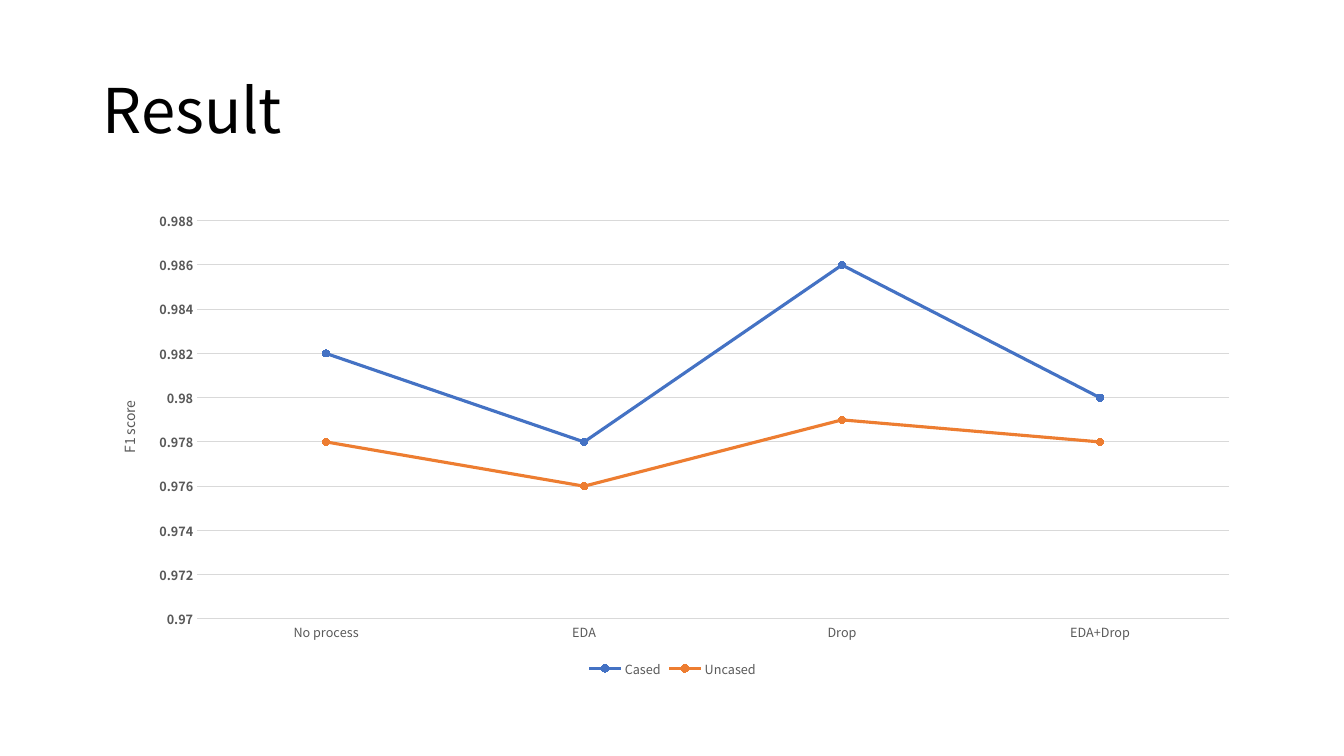
from lxml import etree
from pptx import Presentation
from pptx.chart.data import CategoryChartData
from pptx.dml.color import RGBColor
from pptx.enum.chart import (XL_CHART_TYPE, XL_LEGEND_POSITION,
                             XL_MARKER_STYLE, XL_TICK_MARK)
from pptx.enum.text import MSO_ANCHOR
from pptx.oxml.ns import qn
from pptx.util import Inches, Pt

# Content
TITLE = "Result"
AXIS_TITLE = "F1 score"
CATEGORIES = ["No process", "EDA", "Drop", "EDA+Drop"]
SCORES = {
    "Cased": [0.982, 0.978, 0.986, 0.98],
    "Uncased": [0.978, 0.976, 0.979, 0.978],
}
SCALE = (0.97, 0.988, 0.002)  # minimum, maximum, step

THEME = {
    "font": "Noto Sans CJK SC",
    "ink": "000000", "label": "595959", "grid": "D9D9D9",
    "series": ["4472C4", "ED7D31"],
    "title_size": 44, "axis_title_size": 10, "label_size": 9,
    "hairline": 0.75, "series_line": 2.25, "marker": 5,
}

# Slide and shared column
prs = Presentation()
prs.slide_width, prs.slide_height = Inches(13.33), Inches(7.5)
slide = prs.slides.add_slide(prs.slide_layouts[6])
LEFT, WIDTH = Inches(0.92), Inches(11.5)


def style_font(font, size, color, bold=False):
    font.name, font.size, font.bold = THEME["font"], Pt(size), bold
    font.color.rgb = RGBColor.from_string(color)


def style_line(line, color, width):
    line.color.rgb = RGBColor.from_string(color)
    line.width = Pt(width)


def place(element, **shares):
    """Fix a chart part at shares of the chart's size."""
    layout = element.find(qn("c:layout"))
    if layout is None:
        layout = etree.Element(qn("c:layout"))
        text = element.find(qn("c:tx"))
        element.insert(0 if text is None else element.index(text) + 1, layout)
    manual = etree.SubElement(layout, qn("c:manualLayout"))
    modes = {"xMode": "edge", "yMode": "edge"}
    if "w" in shares:
        modes = {"layoutTarget": "inner", **modes}
    for name, value in {**modes, **shares}.items():
        etree.SubElement(manual, qn("c:" + name)).set("val", str(value))


# Title
box = slide.shapes.add_textbox(LEFT, Inches(0.4), WIDTH, Inches(1.45))
frame = box.text_frame
frame.word_wrap, frame.vertical_anchor = True, MSO_ANCHOR.MIDDLE
frame.text = TITLE
frame.paragraphs[0].line_spacing = 0.9
style_font(frame.paragraphs[0].runs[0].font, THEME["title_size"], THEME["ink"])

# Line chart
data = CategoryChartData(number_format="General")
data.categories = CATEGORIES
for name, values in SCORES.items():
    data.add_series(name, values)
chart = slide.shapes.add_chart(XL_CHART_TYPE.LINE_MARKERS, LEFT, Inches(2),
                               WIDTH, Inches(4.76), data).chart
style_font(chart.font, THEME["axis_title_size"], THEME["ink"])
chart.has_title = False
chart.plots[0].vary_by_categories = False
place(chart.plots[0]._element.getparent(), x=0.09, y=0.04, w=0.89, h=0.83)

for series, color in zip(chart.plots[0].series, THEME["series"]):
    series.smooth = False
    style_line(series.format.line, color, THEME["series_line"])
    series.marker.style = XL_MARKER_STYLE.CIRCLE
    series.marker.size = THEME["marker"]
    series.marker.format.fill.solid()
    series.marker.format.fill.fore_color.rgb = RGBColor.from_string(color)
    style_line(series.marker.format.line, color, THEME["hairline"])

# Axes
categories, scores = chart.category_axis, chart.value_axis
for axis in (categories, scores):
    axis.major_tick_mark = axis.minor_tick_mark = XL_TICK_MARK.NONE
    style_font(axis.tick_labels.font, THEME["label_size"], THEME["label"],
               bold=axis is scores)
style_line(categories.format.line, THEME["grid"], THEME["hairline"])
scores.format.line.fill.background()
scores.minimum_scale, scores.maximum_scale, scores.major_unit = SCALE
scores.has_major_gridlines = True
style_line(scores.major_gridlines.format.line, THEME["grid"], THEME["hairline"])

axis_text = scores.axis_title.text_frame
axis_text.text = AXIS_TITLE
style_font(axis_text.paragraphs[0].runs[0].font, THEME["axis_title_size"],
           THEME["label"])
body = axis_text._txBody.find(qn("a:bodyPr"))
body.set("rot", "-5400000")
body.set("vert", "horz")
place(scores.axis_title._element, x=0.02, y=0.41)

# Legend
chart.has_legend = True
chart.legend.position = XL_LEGEND_POSITION.BOTTOM
chart.legend.include_in_layout = False
style_font(chart.legend.font, THEME["label_size"], THEME["label"])

prs.save("out.pptx")
